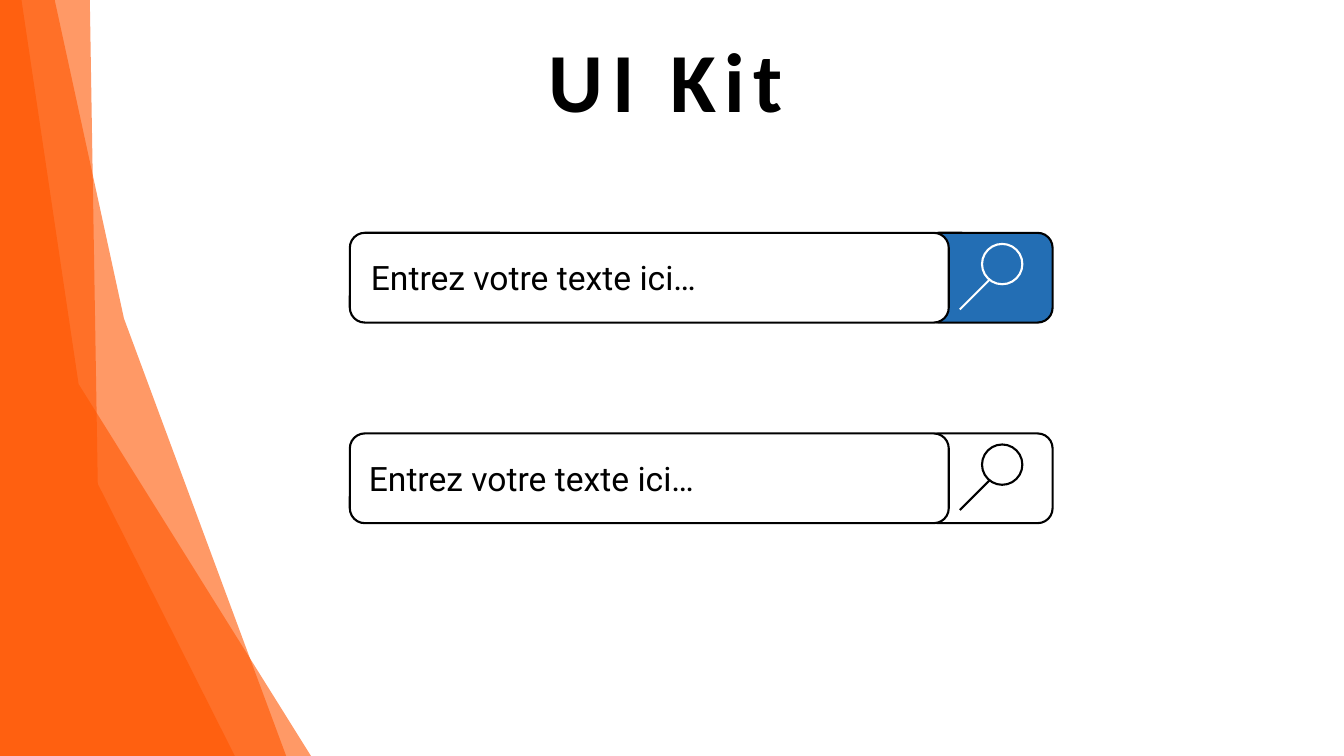
from dataclasses import dataclass

from lxml import etree
from pptx import Presentation
from pptx import util as u
from pptx.dml.color import RGBColor
from pptx.enum import shapes, text
from pptx.oxml.ns import qn

PX = 9144  # EMU per px, 100 px to the inch


@dataclass(frozen=True)
class Theme:
    orange: str = "FF5600"
    blue: str = "236EB4"
    black: str = "000000"
    white: str = "FFFFFF"
    title_font: str = "Calibri"
    field_font: str = "Roboto"
    title_size: int = 60
    field_size: int = 24
    outline: float = 1.5
    ribbon_opacity: int = 60


THEME = Theme()

RIBBONS = [
    [(-5, -5), (-4, 753), (285, 753), (123, 316), (53, -6)],
    [(-8, -16), (19, -16), (78, 381), (316, 762), (-10, 757), (-8, -10)],
    [(-11, -5), (68, -5), (89, -6), (97, 480), (239, 762), (-10, 756)],
]

# Top, prompt left, button fill and icon colour of each search bar
SEARCH_BARS = [
    (231, 358, THEME.blue, THEME.white),
    (430, 356, None, THEME.black),
]


def px(*lengths):
    return [u.Emu(length * PX) for length in lengths]


def rgb(code):
    return RGBColor.from_string(code)


def set_font(paragraph, name, size, bold=False):
    font = paragraph.font
    font.name, font.size, font.bold = name, u.Pt(size), bold
    font.color.rgb = rgb(THEME.black)


def add_ribbon(slide, points):
    builder = slide.shapes.build_freeform(*points[0], scale=PX)
    builder.add_line_segments(points[1:], close=True)
    ribbon = builder.convert_to_shape()
    ribbon.shadow.inherit = False
    ribbon.line.fill.background()
    ribbon.fill.solid()
    ribbon.fill.fore_color.rgb = rgb(THEME.orange)
    colour = ribbon.fill._xPr.find(qn("a:solidFill"))[0]
    etree.SubElement(colour, qn("a:alpha"), val=str(THEME.ribbon_opacity * 1000))


def add_title(slide, wording):
    title = slide.shapes.title
    title.left, title.top, title.width, title.height = px(-12, 23, 1345, 111)
    frame = title.text_frame
    frame.text = wording
    frame.auto_size = text.MSO_AUTO_SIZE.NONE
    heading = frame.paragraphs[0]
    heading.alignment = text.PP_ALIGN.CENTER
    set_font(heading, THEME.title_font, THEME.title_size, bold=True)
    heading.runs[0].font._element.set("spc", "600")


def add_outlined(slide, preset, box, line, fill=None):
    outlined = slide.shapes.add_shape(preset, *px(*box))
    outlined.shadow.inherit = False
    outlined.line.color.rgb = rgb(line)
    outlined.line.width = u.Pt(THEME.outline)
    if fill:
        outlined.fill.solid()
        outlined.fill.fore_color.rgb = rgb(fill)
    else:
        outlined.fill.background()


def add_magnifier(slide, top, colour):
    handle = slide.shapes.add_connector(
        shapes.MSO_CONNECTOR.STRAIGHT, *px(952, top + 76, 982, top + 46))
    handle.line.color.rgb = rgb(colour)
    handle.line.width = u.Pt(THEME.outline)
    etree.SubElement(handle._element.spPr, qn("a:effectLst"))
    add_outlined(slide, shapes.MSO_SHAPE.OVAL, (974, top + 11, 40, 40), colour)


def add_prompt(slide, left, top, wording):
    prompt = slide.shapes.add_textbox(*px(left, top, 542, 50))
    frame = prompt.text_frame
    frame.word_wrap = True
    frame.text = wording
    set_font(frame.paragraphs[0], THEME.field_font, THEME.field_size)


def add_search_bar(slide, top, prompt_left, button_fill, icon_colour):
    rounded = shapes.MSO_SHAPE.ROUNDED_RECTANGLE
    # The field overlaps the left end of the button
    add_outlined(slide, rounded, (916, top, 128, 89), THEME.black, button_fill)
    add_magnifier(slide, top, icon_colour)
    add_outlined(slide, rounded, (347, top, 594, 89), THEME.black, THEME.white)
    add_prompt(slide, prompt_left, top + 19, "Entrez votre texte ici…")


def main():
    deck = Presentation()
    deck.slide_width, deck.slide_height = px(1333, 750)
    slide = deck.slides.add_slide(deck.slide_layouts[5])  # title only

    # Side decoration
    for points in RIBBONS:
        add_ribbon(slide, points)

    # Heading and search bars
    add_title(slide, "UI Kit")
    for bar in SEARCH_BARS:
        add_search_bar(slide, *bar)

    deck.save("out.pptx")


if __name__ == "__main__":
    main()
